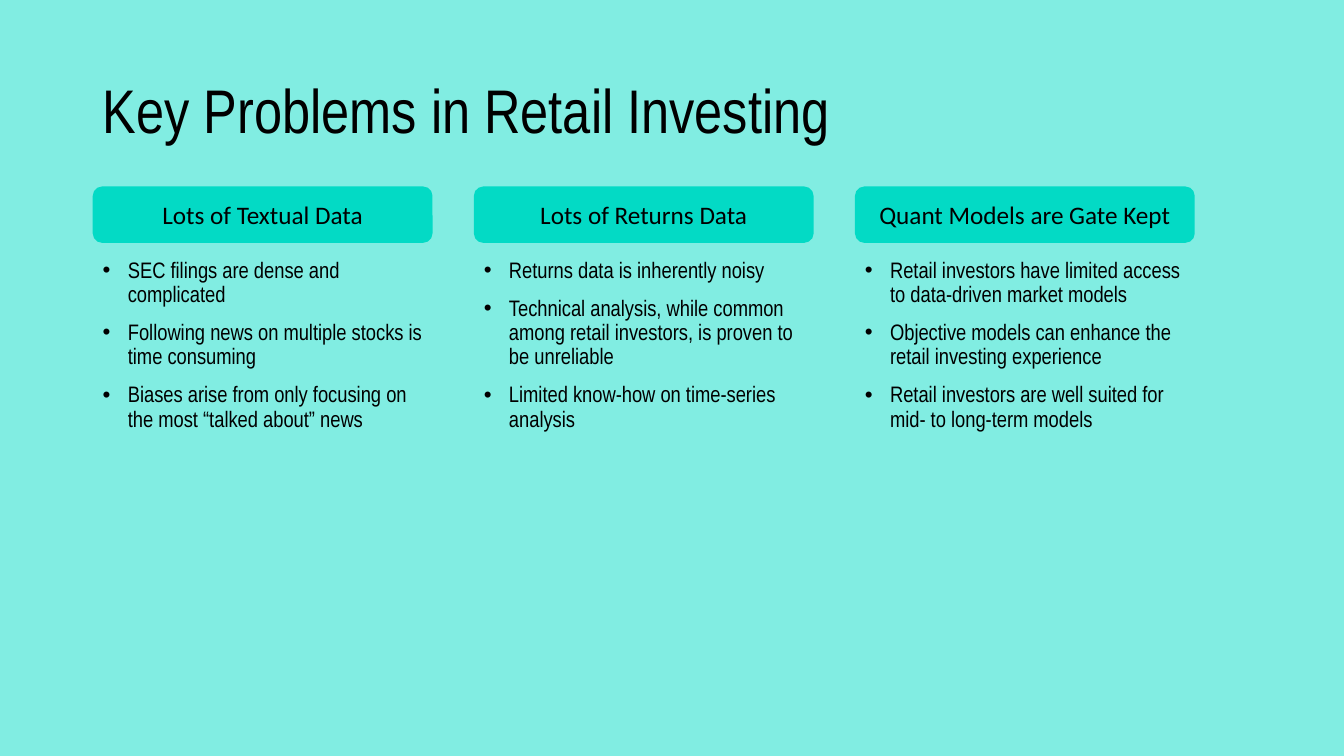
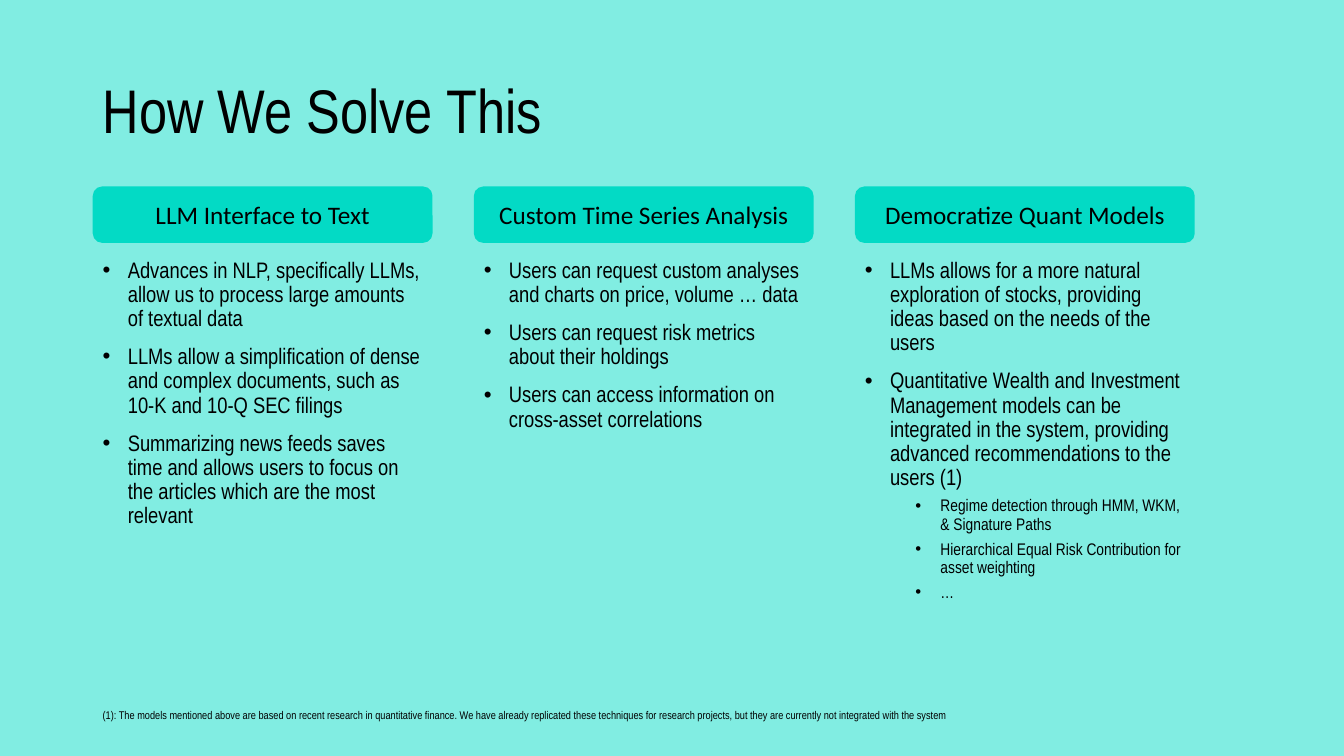
from lxml import etree
from pptx import Presentation
from pptx.dml.color import RGBColor
from pptx.enum.shapes import MSO_SHAPE
from pptx.enum.text import MSO_ANCHOR, PP_ALIGN
from pptx.oxml.ns import qn
from pptx.util import Inches, Pt

# Shared style
BACKGROUND = RGBColor(0x81, 0xED, 0xE2)
TEAL = RGBColor(0x03, 0xDA, 0xC5)
BLACK = RGBColor(0x00, 0x00, 0x00)
BODY_FONT = "Arial Narrow"
HEADER_FONT = "Calibri"

ROUNDED = MSO_SHAPE.ROUNDED_RECTANGLE
MIDDLE = MSO_ANCHOR.MIDDLE
CENTER = PP_ALIGN.CENTER

# Column grid, in inches
LEFT = 0.92
COLUMN_WIDTH = 3.37
COLUMN_PITCH = 3.78

# Bullet levels: size (pt), space before (pt), left margin (in)
LEVELS = [(16, 10, 0.25), (12, 5, 0.75)]
HANGING = 0.25

# Content: (title, columns, footnote); a column is (header, bullets),
# and a bullet is (level, text)
SLIDES = [
    ("Key Problems in Retail Investing", [
        ("Lots of Textual Data", [
            (0, "SEC filings are dense and complicated"),
            (0, "Following news on multiple stocks is time consuming"),
            (0, "Biases arise from only focusing on the most “talked about” news"),
        ]),
        ("Lots of Returns Data", [
            (0, "Returns data is inherently noisy"),
            (0, "Technical analysis, while common among retail investors, "
                "is proven to be unreliable"),
            (0, "Limited know-how on time-series analysis"),
        ]),
        ("Quant Models are Gate Kept", [
            (0, "Retail investors have limited access to data-driven market models"),
            (0, "Objective models can enhance the retail investing experience"),
            (0, "Retail investors are well suited for mid- to long-term models"),
        ]),
    ], None),
    ("How We Solve This", [
        ("LLM Interface to Text", [
            (0, "Advances in NLP, specifically LLMs, allow us to process "
                "large amounts of textual data"),
            (0, "LLMs allow a simplification of dense and complex documents, "
                "such as 10-K and 10-Q SEC filings"),
            (0, "Summarizing news feeds saves time and allows users to focus "
                "on the articles which are the most relevant"),
        ]),
        ("Custom Time Series Analysis", [
            (0, "Users can request custom analyses and charts on price, volume … data"),
            (0, "Users can request risk metrics about their holdings"),
            (0, "Users can access information on cross-asset correlations"),
        ]),
        ("Democratize Quant Models", [
            (0, "LLMs allows for a more natural exploration of stocks, "
                "providing ideas based on the needs of the users"),
            (0, "Quantitative Wealth and Investment Management models can be "
                "integrated in the system, providing advanced recommendations "
                "to the users (1)"),
            (1, "Regime detection through HMM, WKM, & Signature Paths"),
            (1, "Hierarchical Equal Risk Contribution for asset weighting"),
            (1, "…"),
        ]),
    ], "(1): The models mentioned above are based on recent research in "
       "quantitative finance. We have already replicated these techniques for "
       "research projects, but they are currently not integrated with the system"),
]


def write(p, text, size, font=BODY_FONT):
    p.text = text
    for r in p.runs:
        r.font.size = Pt(size)
        r.font.name = font
        r.font.color.rgb = BLACK


def add_text_frame(s, left, top, width, height):
    box = s.shapes.add_textbox(Inches(left), Inches(top),
                               Inches(width), Inches(height))
    tf = box.text_frame
    tf.word_wrap = True
    return tf


def add_title(s, text):
    tf = add_text_frame(s, LEFT, 0.4, 11.5, 1.45)
    tf.vertical_anchor = MIDDLE
    p = tf.paragraphs[0]
    write(p, text, 44)
    p.line_spacing = 0.9


def add_header(s, left, text):
    sp = s.shapes.add_shape(ROUNDED, Inches(left), Inches(1.85),
                            Inches(COLUMN_WIDTH), Inches(0.56))
    sp.shadow.inherit = False
    sp.fill.solid()
    sp.fill.fore_color.rgb = TEAL
    sp.line.fill.background()
    tf = sp.text_frame
    tf.word_wrap = True
    tf.vertical_anchor = MIDDLE
    p = tf.paragraphs[0]
    write(p, text, 18, HEADER_FONT)
    p.alignment = CENTER


def set_bullet(p, margin):
    pPr = p._p.get_or_add_pPr()
    pPr.set("marL", str(Inches(margin)))
    pPr.set("indent", str(-Inches(HANGING)))
    etree.SubElement(pPr, qn("a:buFont")).set("typeface", "Arial")
    etree.SubElement(pPr, qn("a:buChar")).set("char", "•")


def add_bullets(s, left, bullets):
    tf = add_text_frame(s, left, 2.52, COLUMN_WIDTH, 4.23)
    for i, (level, text) in enumerate(bullets):
        p = tf.add_paragraph() if i else tf.paragraphs[0]
        size, space, margin = LEVELS[level]
        write(p, text, size)
        p.level = level
        p.line_spacing = 0.9
        p.space_before = Pt(space)
        set_bullet(p, margin)


def add_footnote(s, text):
    tf = add_text_frame(s, LEFT, 6.98, 10.52, 0.24)
    write(tf.paragraphs[0], text, 8)


def main():
    prs = Presentation()
    prs.slide_width = Inches(13.33)
    prs.slide_height = Inches(7.5)

    # Background shared through the master
    fill = prs.slide_master.background.fill
    fill.solid()
    fill.fore_color.rgb = BACKGROUND

    for title, columns, footnote in SLIDES:
        s = prs.slides.add_slide(prs.slide_layouts[6])
        add_title(s, title)
        for i, (header, bullets) in enumerate(columns):
            left = LEFT + i * COLUMN_PITCH
            add_bullets(s, left, bullets)
            add_header(s, left, header)
        if footnote:
            add_footnote(s, footnote)

    prs.save("out.pptx")


if __name__ == "__main__":
    main()
